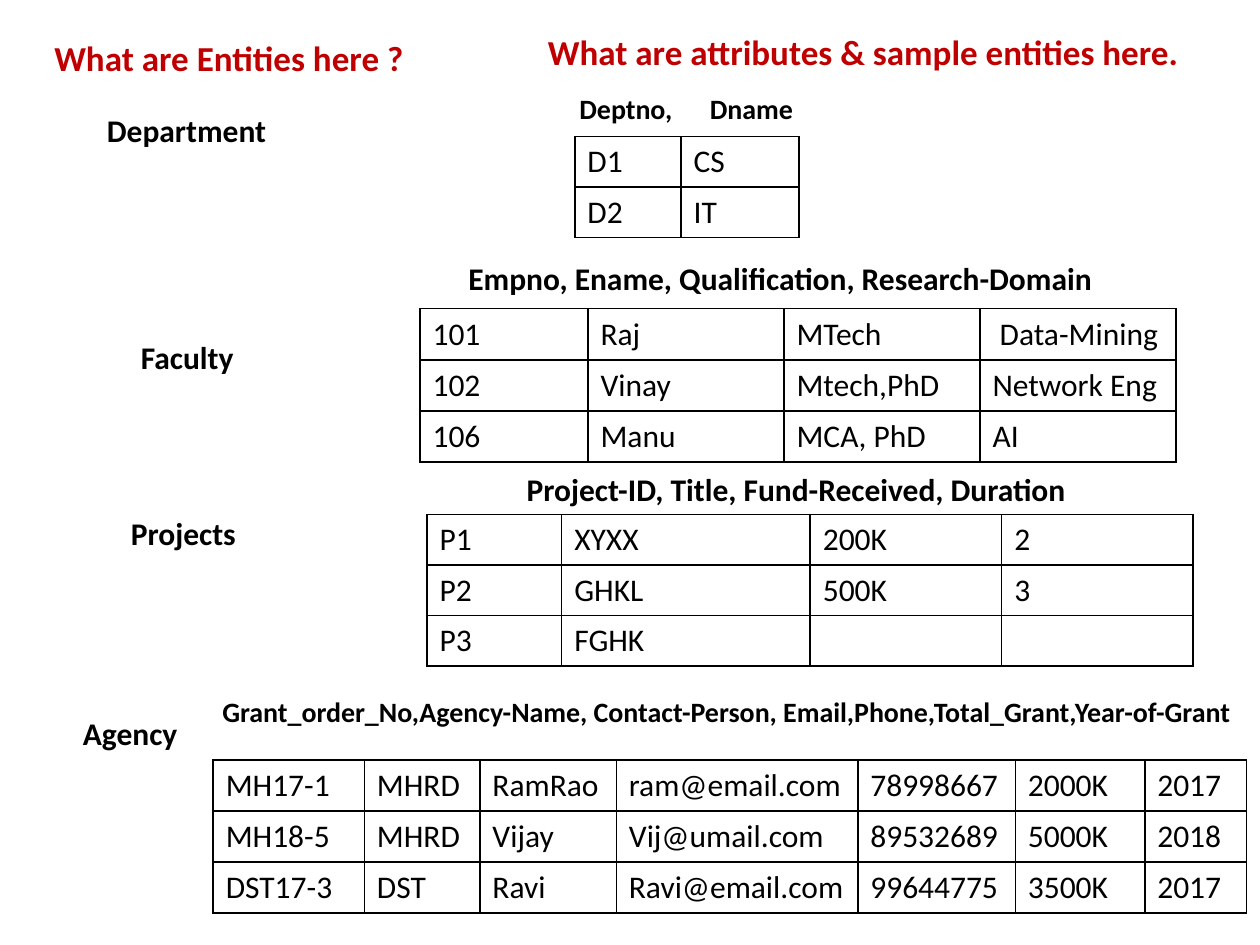
from dataclasses import dataclass

from lxml import etree
from pptx import Presentation
from pptx.dml.color import RGBColor
from pptx.enum.text import MSO_ANCHOR, MSO_AUTO_SIZE, PP_ALIGN
from pptx.oxml.ns import qn
from pptx.slide import Slide
from pptx.text.text import TextFrame
from pptx.util import Pt

TOP = MSO_ANCHOR.TOP
LEFT = PP_ALIGN.LEFT
FIT_SHAPE = MSO_AUTO_SIZE.SHAPE_TO_FIT_TEXT
TITLE_ONLY_LAYOUT = 5
FONT = "Calibri"
RED = "C00000"
BLACK = "000000"
BORDER_SIDES = ("a:lnL", "a:lnR", "a:lnT", "a:lnB")


@dataclass
class Label:
    text: str
    left: float
    top: float
    width: float
    height: float = 29
    size: float = 18
    color: str = BLACK
    wrap: bool = False
    tab: float | None = None


@dataclass
class Grid:
    left: float
    top: float
    row_height: float
    widths: list[float]
    rows: list[list[str]]


@dataclass
class Entity:
    name: Label
    attributes: Label
    samples: Grid


TITLE = Label("What are Entities here ?", 23.8, 17.3, 252, 31.5, 20, RED, True)
SUBTITLE = Label("What are attributes & sample entities here.", 306, 13.7, 380, 31.5, 20, RED, True)

ENTITIES = [
    Entity(
        Label("Department", 54, 59.8, 106.6),
        Label("Deptno,\tDname", 324, 49, 156, 26.6, 16, wrap=True, tab=74.5),
        Grid(328.5, 78, 28.8, [60.7, 67.5], [["D1", "CS"], ["D2", "IT"]]),
    ),
    Entity(
        Label("Faculty", 73.4, 189.4, 67.7),
        Label("Empno, Ename, Qualification, Research-Domain", 260.6, 144.7, 391.7, wrap=True),
        Grid(240, 176.4, 29.2, [96, 112, 112, 112], [
            ["101", "Raj", "MTech", " Data-Mining"],
            ["102", "Vinay", "Mtech,PhD", "Network Eng"],
            ["106", "Manu", "MCA, PhD", "AI"],
        ]),
    ),
    Entity(
        Label("Projects", 67.7, 290.2, 74.9),
        Label("Project-ID, Title, Fund-Received, Duration", 293.8, 265, 325.4),
        Grid(244, 294, 28.8, [77, 142, 109.4, 109.4], [
            ["P1", "XYXX", "200K", "2"],
            ["P2", "GHKL", "500K", "3"],
            ["P3", "FGHK", "", ""],
        ]),
    ),
    Entity(
        Label("Agency", 40.3, 404.6, 69.1),
        Label("Grant_order_No,Agency-Name, Contact-Person, Email,Phone,Total_Grant,Year-of-Grant",
              120, 393.1, 600, 26.6, 16, wrap=True),
        Grid(121.8, 434.2, 29.2, [86.4, 66, 78, 138, 90, 74, 58], [
            ["MH17-1", "MHRD", "RamRao", "ram@email.com", "78998667", "2000K", "2017"],
            ["MH18-5", "MHRD", "Vijay", "Vij@umail.com", "89532689", "5000K", "2018"],
            ["DST17-3", "DST", "Ravi", "Ravi@email.com", "99644775", "3500K", "2017"],
        ]),
    ),
]


def rgb(color: str) -> RGBColor:
    return RGBColor.from_string(color)


def write_text(frame: TextFrame, text: str, *, size: float = 18, color: str = BLACK,
               bold: bool = False, tab: float | None = None) -> None:
    paragraph = frame.paragraphs[0]
    paragraph.alignment = LEFT
    if tab is not None:
        tabs = etree.SubElement(paragraph._p.get_or_add_pPr(), qn("a:tabLst"))
        etree.SubElement(tabs, qn("a:tab"), pos=str(Pt(tab)), algn="l")
    run = paragraph.add_run()
    run.text = text
    run.font.name = FONT
    run.font.size = Pt(size)
    run.font.bold = bold
    run.font.color.rgb = rgb(color)


def draw_label(slide: Slide, label: Label, *, is_title: bool = False) -> None:
    box = Pt(label.left), Pt(label.top), Pt(label.width), Pt(label.height)
    if is_title:
        shape = slide.shapes.title
        shape.left, shape.top, shape.width, shape.height = box
    else:
        shape = slide.shapes.add_textbox(*box)
    frame = shape.text_frame
    frame.word_wrap = label.wrap
    frame.auto_size = FIT_SHAPE
    frame.vertical_anchor = TOP
    write_text(frame, label.text, size=label.size, color=label.color, bold=True, tab=label.tab)


def add_borders(cell) -> None:
    properties = cell._tc.get_or_add_tcPr()
    for position, side in enumerate(BORDER_SIDES):
        line = etree.Element(qn(side), w=str(Pt(1)))
        fill = etree.SubElement(line, qn("a:solidFill"))
        etree.SubElement(fill, qn("a:srgbClr"), val=BLACK)
        properties.insert(position, line)


def draw_grid(slide: Slide, grid: Grid) -> None:
    row_count, column_count = len(grid.rows), len(grid.widths)
    table = slide.shapes.add_table(
        row_count, column_count, Pt(grid.left), Pt(grid.top),
        Pt(sum(grid.widths)), Pt(grid.row_height * row_count),
    ).table
    table.first_row = False
    table.horz_banding = False
    for column, width in zip(table.columns, grid.widths):
        column.width = Pt(width)
    for row, values in zip(table.rows, grid.rows):
        row.height = Pt(grid.row_height)
        for cell, value in zip(row.cells, values):
            cell.fill.background()
            add_borders(cell)
            if value:
                write_text(cell.text_frame, value)


def main() -> None:
    presentation = Presentation()
    presentation.slide_width = Pt(720)
    presentation.slide_height = Pt(540)
    slide = presentation.slides.add_slide(presentation.slide_layouts[TITLE_ONLY_LAYOUT])
    draw_label(slide, TITLE, is_title=True)
    draw_label(slide, SUBTITLE)
    for entity in ENTITIES:
        draw_label(slide, entity.name)
        draw_label(slide, entity.attributes)
        draw_grid(slide, entity.samples)
    presentation.save("out.pptx")


if __name__ == "__main__":
    main()
